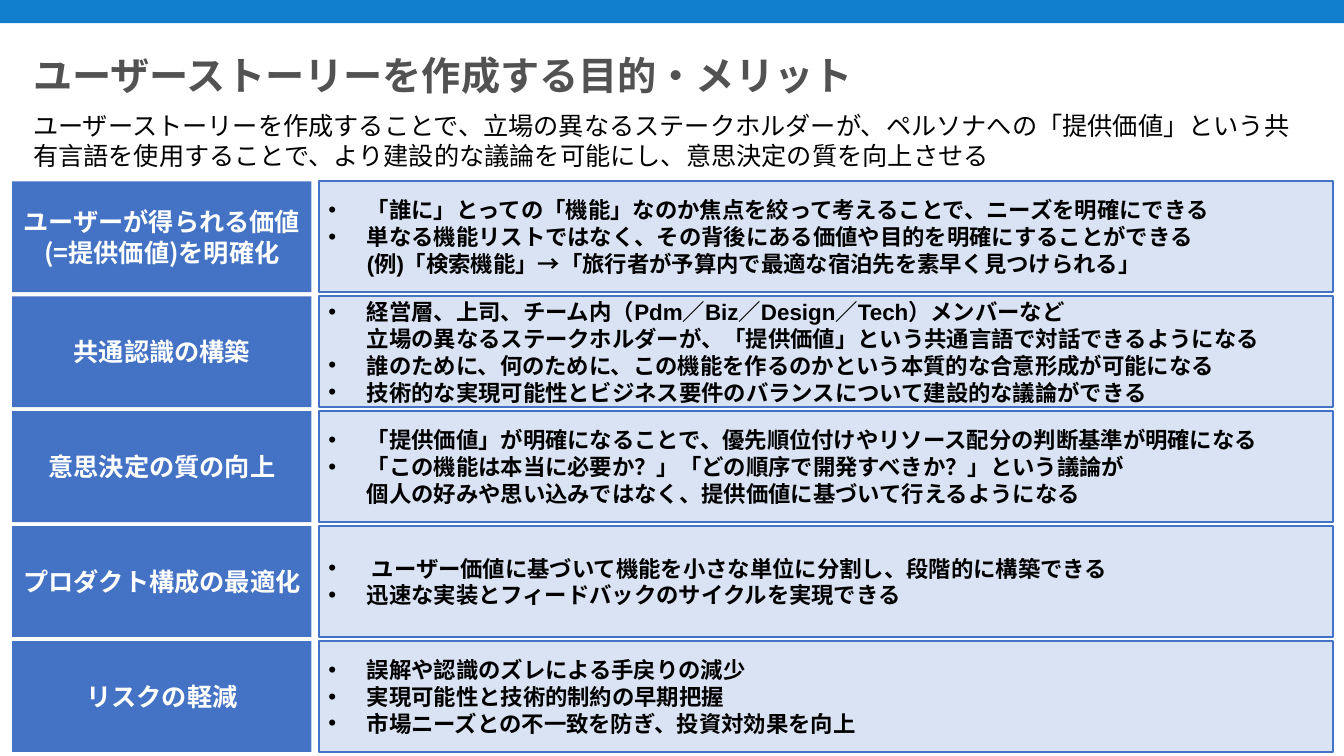
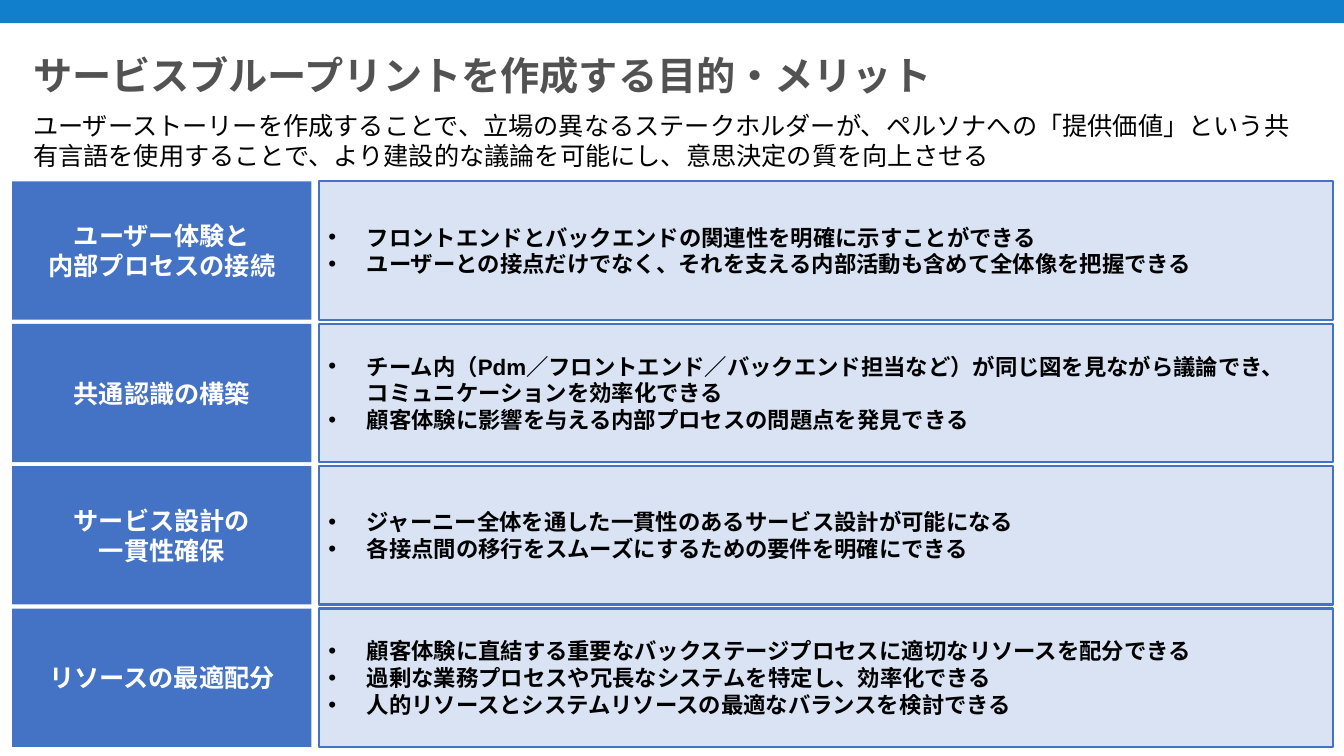
from copy import deepcopy
from dataclasses import dataclass

from lxml.etree import SubElement
from pptx import Presentation
from pptx.dml.color import RGBColor
from pptx.enum.shapes import MSO_SHAPE
from pptx.enum.text import MSO_ANCHOR, PP_ALIGN
from pptx.oxml.ns import qn
from pptx.util import Inches, Pt

LEAD = (
    "ユーザーストーリーを作成することで、立場の異なるステークホルダーが、"
    "ペルソナへの「提供価値」という共有言語を使用することで、"
    "より建設的な議論を可能にし、意思決定の質を向上させる"
)

SLIDES = [
    {
        "title": "ユーザーストーリーを作成する目的・メリット",
        "bottom": 7.46,
        "merits": [
            (["ユーザーが得られる価値", "(=提供価値)を明確化"], [
                "「誰に」とっての「機能」なのか焦点を絞って考えることで、ニーズを明確にできる",
                "単なる機能リストではなく、その背後にある価値や目的を明確にすることができる\n"
                "(例)「検索機能」→「旅行者が予算内で最適な宿泊先を素早く見つけられる」",
            ]),
            (["共通認識の構築"], [
                "経営層、上司、チーム内（Pdm／Biz／Design／Tech）メンバーなど\n"
                "立場の異なるステークホルダーが、「提供価値」という共通言語で対話できるようになる",
                "誰のために、何のために、この機能を作るのかという本質的な合意形成が可能になる",
                "技術的な実現可能性とビジネス要件のバランスについて建設的な議論ができる",
            ]),
            (["意思決定の質の向上"], [
                "「提供価値」が明確になることで、優先順位付けやリソース配分の判断基準が明確になる",
                "「この機能は本当に必要か？」「どの順序で開発すべきか？」という議論が\n"
                "個人の好みや思い込みではなく、提供価値に基づいて行えるようになる",
            ]),
            (["プロダクト構成の最適化"], [
                " ユーザー価値に基づいて機能を小さな単位に分割し、段階的に構築できる",
                "迅速な実装とフィードバックのサイクルを実現できる",
            ]),
            (["リスクの軽減"], [
                "誤解や認識のズレによる手戻りの減少",
                "実現可能性と技術的制約の早期把握",
                "市場ニーズとの不一致を防ぎ、投資対効果を向上",
            ]),
        ],
    },
    {
        "title": "サービスブループリントを作成する目的・メリット",
        "bottom": 7.41,
        "merits": [
            (["ユーザー体験と", "内部プロセスの接続"], [
                "フロントエンドとバックエンドの関連性を明確に示すことができる",
                "ユーザーとの接点だけでなく、それを支える内部活動も含めて全体像を把握できる",
            ]),
            (["共通認識の構築"], [
                "チーム内（Pdm／フロントエンド／バックエンド担当など）が同じ図を見ながら議論でき、\n"
                "コミュニケーションを効率化できる",
                "顧客体験に影響を与える内部プロセスの問題点を発見できる",
            ]),
            (["サービス設計の", "一貫性確保"], [
                "ジャーニー全体を通した一貫性のあるサービス設計が可能になる",
                "各接点間の移行をスムーズにするための要件を明確にできる",
            ]),
            (["リソースの最適配分"], [
                "顧客体験に直結する重要なバックステージプロセスに適切なリソースを配分できる",
                "過剰な業務プロセスや冗長なシステムを特定し、効率化できる",
                "人的リソースとシステムリソースの最適なバランスを検討できる",
            ]),
        ],
    },
]


@dataclass(frozen=True)
class TextStyle:
    size: int
    color: str
    bold: bool = True
    latin: str = "Noto Sans CJK JP"
    east_asian: str = "Noto Sans CJK JP"


class Theme:
    band = "127FCD"
    accent = "4472C4"
    pale = "DAE3F3"
    border = 1.5
    title = TextStyle(28, "525252")
    lead = TextStyle(18, "000000", bold=False)
    label = TextStyle(18, "FFFFFF")
    points = TextStyle(16, "000000", latin="Arial")


WIDTH, HEIGHT = 13.33, 7.5
BAND_HEIGHT = 0.23
TEXT_LEFT, TEXT_WIDTH = 0.23, 12.86
TITLE_TOP, TITLE_HEIGHT = 0.51, 0.53
LEAD_TOP, LEAD_HEIGHT = 1.04, 0.71
GRID_TOP, ROW_GAP = 1.8, 0.04
LABEL_LEFT, LABEL_WIDTH = 0.12, 2.97
POINTS_LEFT, POINTS_WIDTH = 3.16, 10.06
BULLET_INDENT = 0.38


def add_run(paragraph, text, style):
    run = paragraph.add_run()
    run.text = text
    run.font.size = Pt(style.size)
    run.font.bold = style.bold
    run.font.color.rgb = RGBColor.from_string(style.color)
    run.font.name = style.latin
    SubElement(run._r.rPr, qn("a:ea"), typeface=style.east_asian)
    return run


def add_bullet(paragraph):
    properties = paragraph._p.get_or_add_pPr()
    properties.set("marL", str(Inches(BULLET_INDENT)))
    properties.set("indent", str(-Inches(BULLET_INDENT)))
    SubElement(properties, qn("a:buFont"), typeface="Arial")
    SubElement(properties, qn("a:buChar"), char="•")


def write(frame, texts, style, align=PP_ALIGN.LEFT, bulleted=False):
    frame.word_wrap = True
    for index, text in enumerate(texts):
        paragraph = frame.add_paragraph() if index else frame.paragraphs[0]
        paragraph.alignment = align
        if bulleted:
            add_bullet(paragraph)
        run = None
        for line in text.split("\n"):
            if run is not None:
                paragraph.add_line_break()
                paragraph._p[-1].append(deepcopy(run._r.rPr))
            run = add_run(paragraph, line, style)


def add_text(slide, top, height, text, style):
    box = slide.shapes.add_textbox(
        Inches(TEXT_LEFT), Inches(top), Inches(TEXT_WIDTH), Inches(height))
    write(box.text_frame, [text], style)
    return box.text_frame


def add_panel(slide, left, top, width, height, fill, border=None):
    panel = slide.shapes.add_shape(
        MSO_SHAPE.RECTANGLE, Inches(left), Inches(top), Inches(width), Inches(height))
    panel.shadow.inherit = False
    panel.fill.solid()
    panel.fill.fore_color.rgb = RGBColor.from_string(fill)
    if border:
        panel.line.color.rgb = RGBColor.from_string(border)
        panel.line.width = Pt(Theme.border)
    else:
        panel.line.fill.background()
    panel.text_frame.vertical_anchor = MSO_ANCHOR.MIDDLE
    return panel.text_frame


def add_merits(slide, merits, bottom):
    count = len(merits)
    height = (bottom - GRID_TOP - ROW_GAP * (count - 1)) / count
    for row, (heading, points) in enumerate(merits):
        top = GRID_TOP + row * (height + ROW_GAP)
        label = add_panel(slide, LABEL_LEFT, top, LABEL_WIDTH, height, Theme.accent)
        write(label, heading, Theme.label, PP_ALIGN.CENTER)
        detail = add_panel(
            slide, POINTS_LEFT, top, POINTS_WIDTH, height, Theme.pale, Theme.accent)
        write(detail, points, Theme.points, bulleted=True)


def add_merit_slide(deck, content):
    slide = deck.slides.add_slide(deck.slide_layouts[6])
    add_panel(slide, 0, 0, WIDTH, BAND_HEIGHT, Theme.band)
    title = add_text(slide, TITLE_TOP, TITLE_HEIGHT, content["title"], Theme.title)
    title.paragraphs[0].line_spacing = 0.9
    add_text(slide, LEAD_TOP, LEAD_HEIGHT, LEAD, Theme.lead)
    add_merits(slide, content["merits"], content["bottom"])


def main():
    deck = Presentation()
    deck.slide_width, deck.slide_height = Inches(WIDTH), Inches(HEIGHT)
    for content in SLIDES:
        add_merit_slide(deck, content)
    deck.save("out.pptx")


if __name__ == "__main__":
    main()
